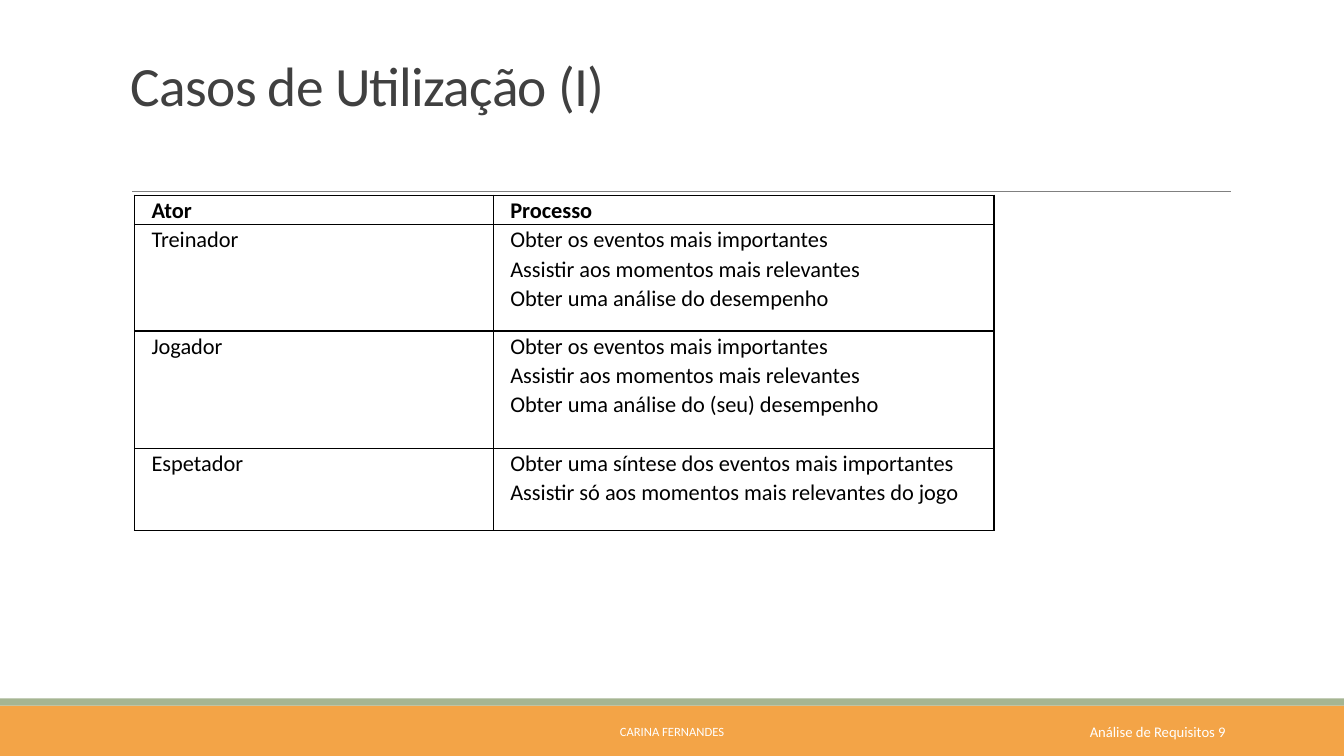
from dataclasses import dataclass

from lxml.etree import SubElement
from pptx import Presentation
from pptx.dml.color import RGBColor
from pptx.enum.shapes import MSO_CONNECTOR, MSO_SHAPE
from pptx.enum.text import MSO_ANCHOR, PP_ALIGN
from pptx.oxml.ns import qn
from pptx.slide import Slide
from pptx.table import _Cell
from pptx.util import Cm, Pt

FONT = "Calibri"
COLORS = {
    "orange": "F3A447",
    "green": "A5B592",
    "rule": "808080",
    "title": "404040",
    "table": "000000",
    "footer": "FFFFFF",
}


@dataclass
class Band:
    top: float
    height: float
    color: str


@dataclass
class Label:
    text: str
    left: float
    top: float
    width: float
    height: float
    size: float
    color: str
    align: PP_ALIGN
    anchor: MSO_ANCHOR = MSO_ANCHOR.MIDDLE
    bottom_inset: float = 0.13
    line_spacing: float = 1.0
    tracking: int = 0


@dataclass
class UseCaseRow:
    actor: str
    processes: list[str]
    height: float
    bold: bool = False


BANDS = [Band(17.78, 1.27, "orange"), Band(17.6, 0.18, "green")]

LABELS = [
    Label("Casos de Utilização (I)", 3.05, 0.79, 27.94, 4.04, 39.6, "title",
          PP_ALIGN.LEFT, MSO_ANCHOR.BOTTOM, 1.85, 0.85, -50),
    Label("CARINA FERNANDES", 10.24, 17.93, 13.39, 1.02, 9, "footer", PP_ALIGN.CENTER),
    Label("Análise de Requisitos 9", 24.31, 17.93, 6.83, 1.02, 10.5, "footer", PP_ALIGN.RIGHT),
]

COLUMN_WIDTHS = [9.04, 12.62]
ROWS = [
    UseCaseRow("Ator", ["Processo"], 0.74, bold=True),
    UseCaseRow("Treinador", ["Obter os eventos mais importantes",
                             "Assistir aos momentos mais relevantes",
                             "Obter uma análise do desempenho"], 2.68),
    UseCaseRow("Jogador", ["Obter os eventos mais importantes",
                           "Assistir aos momentos mais relevantes",
                           "Obter uma análise do (seu) desempenho"], 2.96),
    UseCaseRow("Espetador", ["Obter uma síntese dos eventos mais importantes",
                             "Assistir só aos momentos mais relevantes do jogo"], 2.06),
]


def rgb(name: str) -> RGBColor:
    return RGBColor.from_string(COLORS[name])


def add_band(slide: Slide, band: Band, width: int) -> None:
    shape = slide.shapes.add_shape(MSO_SHAPE.RECTANGLE, 0, Cm(band.top), width, Cm(band.height))
    shape.shadow.inherit = False
    shape.fill.solid()
    shape.fill.fore_color.rgb = rgb(band.color)
    shape.line.fill.background()


def add_rule(slide: Slide) -> None:
    rule = slide.shapes.add_connector(
        MSO_CONNECTOR.STRAIGHT, Cm(3.33), Cm(4.83), Cm(31.01), Cm(4.83))
    rule.line.color.rgb = rgb("rule")
    rule.line.width = Pt(0.5)
    SubElement(rule._element.spPr, qn("a:effectLst"))


def add_label(slide: Slide, label: Label) -> None:
    shape = slide.shapes.add_textbox(
        Cm(label.left), Cm(label.top), Cm(label.width), Cm(label.height))
    frame = shape.text_frame
    frame.word_wrap = True
    frame.vertical_anchor = label.anchor
    frame.margin_bottom = Cm(label.bottom_inset)
    paragraph = frame.paragraphs[0]
    paragraph.alignment = label.align
    paragraph.line_spacing = label.line_spacing
    paragraph.font.name = FONT
    paragraph.font.size = Pt(label.size)
    paragraph.font.color.rgb = rgb(label.color)
    run = paragraph.add_run()
    run.text = label.text
    if label.tracking:
        run._r.get_or_add_rPr().set("spc", str(label.tracking))


def set_borders(cell: _Cell) -> None:
    properties = cell._tc.get_or_add_tcPr()
    for side in ("lnL", "lnR", "lnT", "lnB"):
        line = SubElement(properties, qn(f"a:{side}"), w=str(Pt(1)))
        fill = SubElement(line, qn("a:solidFill"))
        SubElement(fill, qn("a:srgbClr"), val=COLORS["table"])


def fill_cell(cell: _Cell, lines: list[str], bold: bool) -> None:
    set_borders(cell)
    cell.fill.background()
    cell.margin_left, cell.margin_right = Cm(0.43), Cm(0.18)
    cell.margin_top = cell.margin_bottom = 0
    cell.text_frame.text = "\n".join(lines)
    for paragraph in cell.text_frame.paragraphs:
        paragraph.line_spacing = 1.07
        paragraph.font.name = FONT
        paragraph.font.size = Pt(16)
        paragraph.font.bold = bold
        paragraph.font.color.rgb = rgb("table")


def add_use_cases(slide: Slide) -> None:
    frame = slide.shapes.add_table(
        len(ROWS), len(COLUMN_WIDTHS), Cm(3.39), Cm(4.92),
        Cm(sum(COLUMN_WIDTHS)), Cm(sum(row.height for row in ROWS)))
    table = frame.table
    table.first_row = table.horz_banding = False
    for column, width in zip(table.columns, COLUMN_WIDTHS):
        column.width = Cm(width)
    for index, row in enumerate(ROWS):
        table.rows[index].height = Cm(row.height)
        fill_cell(table.cell(index, 0), [row.actor], row.bold)
        fill_cell(table.cell(index, 1), row.processes, row.bold)


def main() -> None:
    presentation = Presentation()
    presentation.slide_width = Cm(33.87)
    presentation.slide_height = Cm(19.05)
    slide = presentation.slides.add_slide(presentation.slide_layouts[6])

    # Footer bands and title rule
    for band in BANDS:
        add_band(slide, band, presentation.slide_width)
    add_rule(slide)

    # Use case table
    add_use_cases(slide)

    # Title and footer texts
    for label in LABELS:
        add_label(slide, label)

    presentation.save("out.pptx")


if __name__ == "__main__":
    main()
